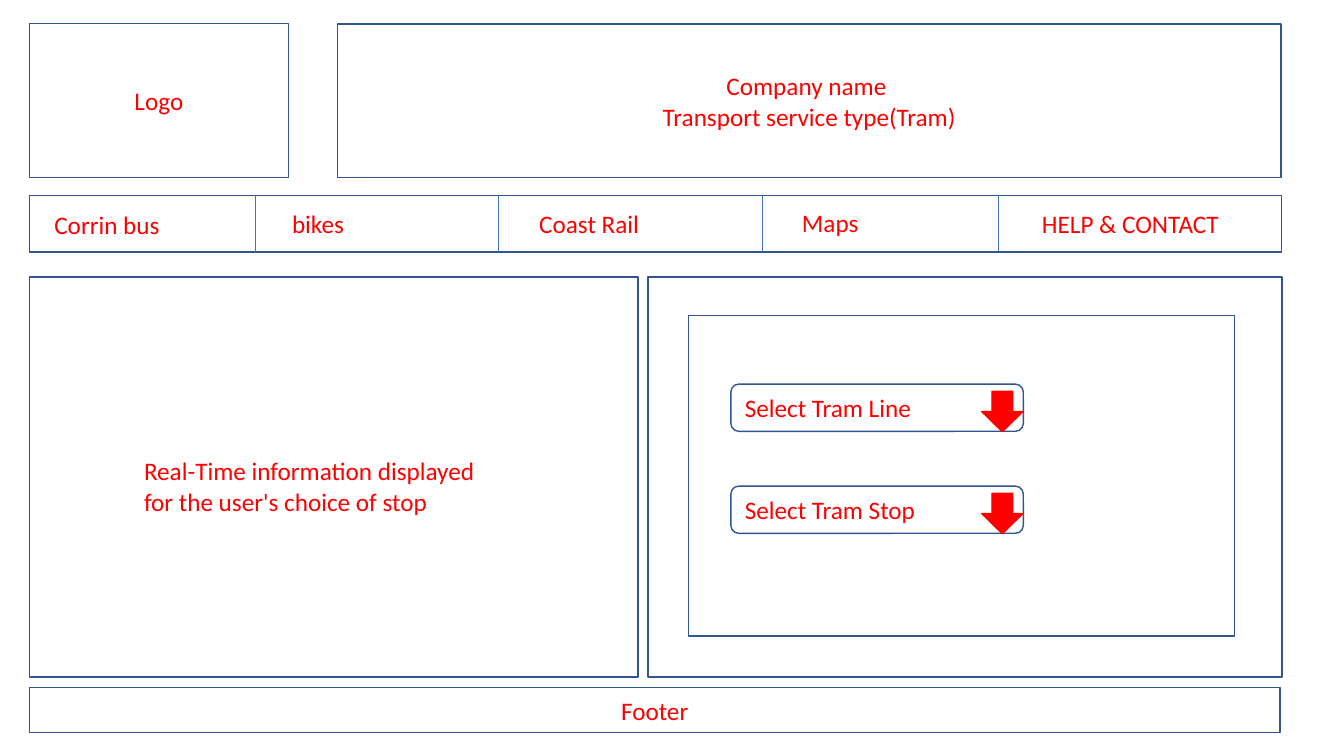
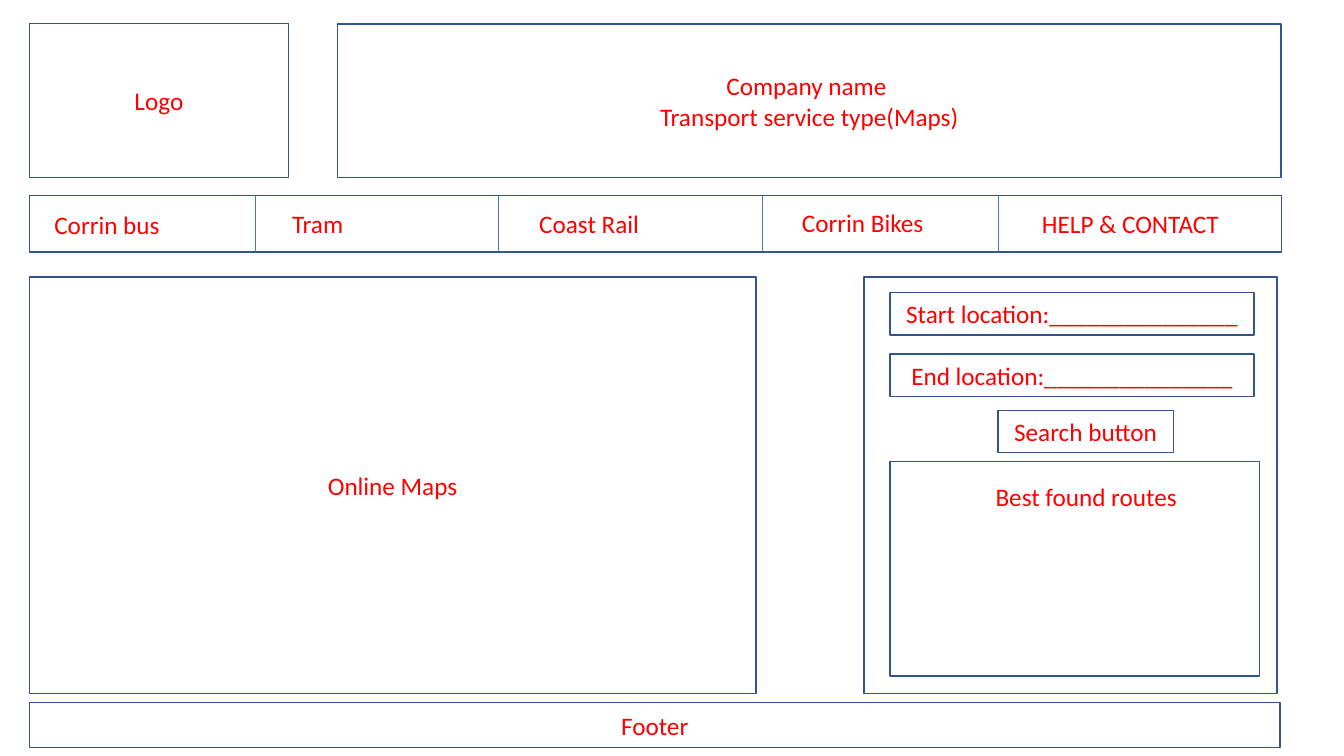
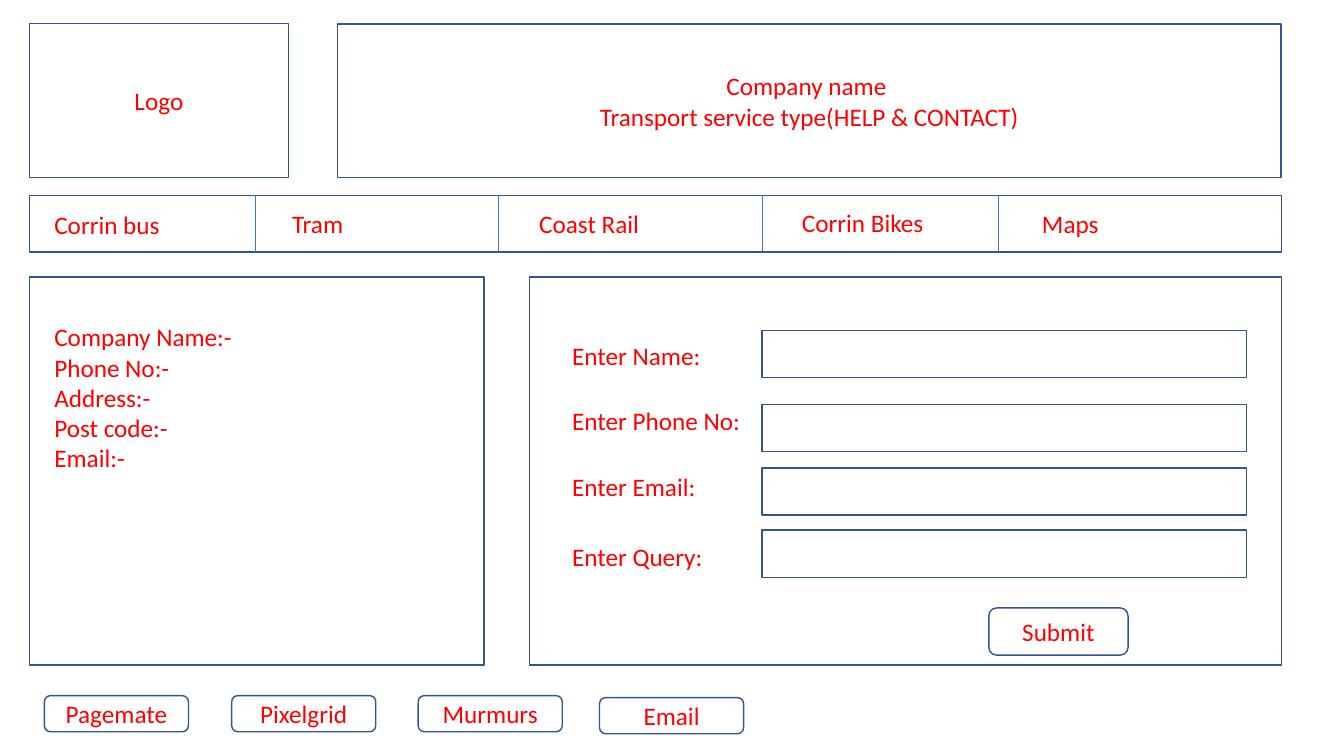
import pptx
import pptx.util
import pptx.dml.color
import pptx.enum.shapes
import pptx.enum.text
import pptx.oxml.ns
import lxml.etree
from pptx.util import Cm

# Content
TABS = ["Corrin bus", "Tram", "Coast Rail", "Corrin Bikes", "HELP & CONTACT"]
PAGES = [
    {"type": "Tram", "tabs": {1: "bikes", 3: "Maps"}},
    {"type": "Maps", "tabs": {}},
    {"type": "HELP & CONTACT", "tabs": {4: "Maps"}},
]
NOTICE = ["Real-Time information displayed", "for the user's choice of stop"]
PICKS = ["Select Tram Line", "Select Tram Stop"]
PLACES = ["Start location:", "End location:"]
FIRM = ["Company Name:-", "Phone No:-", "Address:-", "Post code:-", "Email:-"]
# Form label, top of label, top of field
FORM = [
    ("Enter Name:", 8.46, 8.33),
    ("Enter Phone No:", 10.08, 10.19),
    ("Enter Email:", 11.76, 11.79),
    ("Enter Query:", 13.51, 13.36),
]
# Button name, left, top
LINKS = [
    ("Pagemate", 1.12, 17.53),
    ("Pixelgrid", 5.84, 17.53),
    ("Murmurs", 10.54, 17.53),
    ("Email", 15.11, 17.58),
]

# Shared style, lengths in centimetres
HUES = {"text": "FF0000", "edge": "325491", "rule": "4472C4", "fill": "FFFFFF"}
FONT, SIZE = "Calibri", 18
LEFT, BODY = 0.74, 6.98
RULES = [6.43, 12.55, 19.2, 25.15]
# Left, top and width of each tab text
SLOTS = [(1.12, 5.16, 3.63), (7.11, 5.12, 4.72), (13.34, 5.12, 3.63),
         (19.96, 5.1, 3.81), (26.01, 5.12, 5.11)]
KIND = pptx.enum.shapes.MSO_SHAPE
ALIGN = pptx.enum.text.PP_ALIGN
ANCHOR = pptx.enum.text.MSO_ANCHOR


def hue(name):
    return pptx.dml.color.RGBColor.from_string(HUES[name])


def write(shape, lines, mid=True):
    frame = shape.text_frame
    frame.word_wrap = True
    frame.auto_size = pptx.enum.text.MSO_AUTO_SIZE.NONE
    frame.vertical_anchor = ANCHOR.MIDDLE if mid else ANCHOR.TOP
    for i, line in enumerate(lines):
        para = frame.paragraphs[0] if i == 0 else frame.add_paragraph()
        para.alignment = ALIGN.CENTER if mid else ALIGN.LEFT
        para.line_spacing = 1.0
        para.space_before = pptx.util.Pt(0)
        run = para.add_run()
        run.text = line
        run.font.name = FONT
        run.font.size = pptx.util.Pt(SIZE)
        run.font.color.rgb = hue("text")


def paint(shape, fill="fill", edge="edge"):
    shape.fill.solid()
    shape.fill.fore_color.rgb = hue(fill)
    shape.line.color.rgb = hue(edge)
    shape.line.width = pptx.util.Pt(1)


def box(slide, x, y, w, h, lines=(), kind=KIND.RECTANGLE, **tone):
    shape = slide.shapes.add_shape(kind, Cm(x), Cm(y), Cm(w), Cm(h))
    shape.shadow.inherit = False
    paint(shape, **tone)
    write(shape, lines)


def label(slide, x, y, w, lines):
    high = 0.25 + 0.77 * len(lines)
    shape = slide.shapes.add_textbox(Cm(x), Cm(y), Cm(w), Cm(high))
    write(shape, lines, mid=False)


def rule(slide, x, y, h):
    line = slide.shapes.add_connector(
        pptx.enum.shapes.MSO_CONNECTOR.STRAIGHT, Cm(x), Cm(y), Cm(x), Cm(y + h))
    line.line.color.rgb = hue("rule")
    line.line.width = pptx.util.Pt(0.5)
    props = line._element.spPr
    lxml.etree.SubElement(props, pptx.oxml.ns.qn("a:effectLst"))


def footer(slide, y):
    box(slide, LEFT, y, 31.52, 1.14, ["Footer"])


def start(deck, page):
    slide = deck.slides.add_slide(deck.slide_layouts[5])
    # Header
    title = slide.shapes.title
    title.left, title.top = Cm(8.51), Cm(0.6)
    title.width, title.height = Cm(23.77), Cm(3.88)
    paint(title)
    write(title, ["Company name ", f"Transport service type({page['type']})"])
    box(slide, LEFT, 0.6, 6.53, 3.88, ["Logo"])
    # Tab bar
    box(slide, LEFT, 4.93, 31.55, 1.42)
    for x in RULES:
        rule(slide, x, 4.92, 1.44)
    for i, (x, y, w) in enumerate(SLOTS):
        label(slide, x, y, w, [page["tabs"].get(i, TABS[i])])
    return slide


deck = pptx.Presentation()
deck.slide_width, deck.slide_height = Cm(33.87), Cm(19.05)
tram, maps, help_ = [start(deck, page) for page in PAGES]

# Tram: live times and two drop-down lists
box(tram, LEFT, BODY, 15.34, 10.08)
box(tram, 16.33, BODY, 15.98, 10.08)
box(tram, 17.35, 7.95, 13.77, 8.08)
label(tram, 3.38, 11.36, 10.62, NOTICE)
for i, pick in enumerate(PICKS):
    y = 9.68 + 2.57 * i
    box(tram, 18.42, y, 7.37, 1.19, kind=KIND.ROUNDED_RECTANGLE)
    label(tram, 18.52, y + 0.08, 5.8, [pick])
    box(tram, 24.74, y + 0.18, 1.04, 1.02, kind=KIND.DOWN_ARROW,
        fill="text", edge="text")
footer(tram, 17.32)

# Maps: map area and route search
box(maps, LEFT, BODY, 18.31, 10.49, ["Online Maps"])
box(maps, 21.77, BODY, 10.41, 10.49)
for i, place in enumerate(PLACES):
    box(maps, 22.43, 7.37 + 1.55 * i, 9.17, 1.07, [place + "_" * 15])
box(maps, 25.15, 10.34, 4.42, 1.07, ["Search button"])
box(maps, 22.43, 11.63, 9.32, 5.41)
label(maps, 24.84, 12.01, 5.54, ["Best found routes "])
footer(maps, 17.7)

# Help: contact details, query form and link buttons
box(help_, LEFT, BODY, 11.46, 9.78)
box(help_, 13.34, BODY, 18.95, 9.78)
label(help_, 1.12, 7.98, 10.36, FIRM)
for name, y, top in FORM:
    box(help_, 19.2, top, 12.22, 1.19)
    label(help_, 14.17, y, 5.79, [name])
box(help_, 24.92, 15.32, 3.51, 1.19, ["Submit"], KIND.ROUNDED_RECTANGLE)
for name, x, y in LINKS:
    box(help_, x, y, 3.63, 0.91, [name], KIND.ROUNDED_RECTANGLE)

deck.save("out.pptx")
